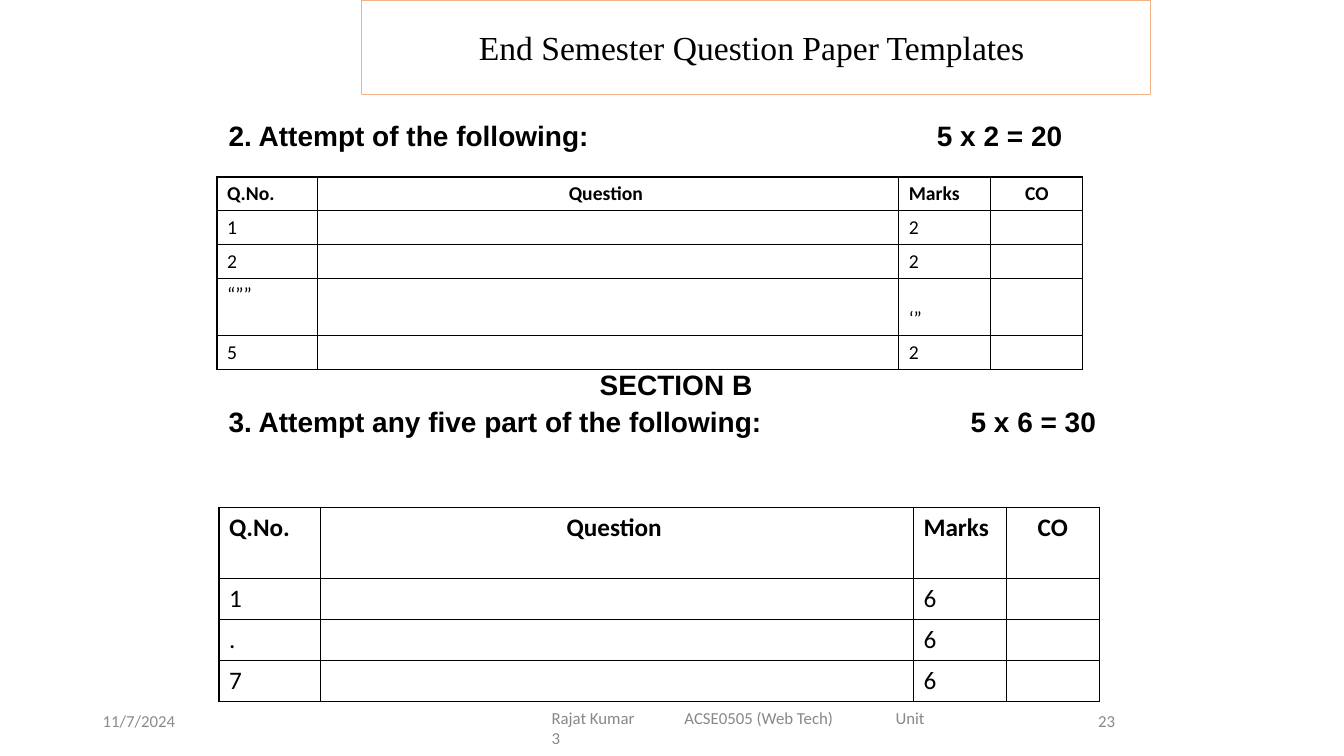
from lxml import etree
from pptx import Presentation
from pptx.dml.color import RGBColor
from pptx.enum.text import MSO_ANCHOR, PP_ALIGN
from pptx.oxml.ns import qn
from pptx.util import Cm, Pt

LEFT, CENTER, RIGHT = PP_ALIGN.LEFT, PP_ALIGN.CENTER, PP_ALIGN.RIGHT
MIDDLE, BOTTOM = MSO_ANCHOR.MIDDLE, MSO_ANCHOR.BOTTOM
COLORS = {"text": "000000", "frame": "F4B183", "cell": "FFFFFF",
          "footer": "888888", "date": "8C8C8C"}


def write(p, text, size, font, color="text", bold=False, align=LEFT, tabs=()):
    """Fill a paragraph and format its run; tabs are left stops in cm."""
    p.text = text
    p.alignment = align
    if tabs:
        tab_list = etree.SubElement(p._p.get_or_add_pPr(), qn("a:tabLst"))
        for stop in tabs:
            etree.SubElement(tab_list, qn("a:tab"), pos=str(Cm(stop)), algn="l")
    for r in p.runs:
        r.font.size = Pt(size)
        r.font.name = font
        r.font.bold = bold
        r.font.color.rgb = RGBColor.from_string(COLORS[color])


def add_border(cell):
    tc_pr = cell._tc.get_or_add_tcPr()
    for side in ("lnL", "lnR", "lnT", "lnB"):
        ln = etree.SubElement(tc_pr, qn("a:" + side), w=str(Pt(1)))
        fill = etree.SubElement(ln, qn("a:solidFill"))
        etree.SubElement(fill, qn("a:srgbClr"), val=COLORS["text"])


prs = Presentation()
prs.slide_width, prs.slide_height = Cm(33.87), Cm(19.05)
s = prs.slides.add_slide(prs.slide_layouts[5])

# Title
title = s.shapes.title
title.left, title.top, title.width, title.height = Cm(9.1), Cm(0), Cm(19.9), Cm(2.37)
title.line.color.rgb = RGBColor.from_string(COLORS["frame"])
title.line.width = Pt(0.5)
title.text_frame.vertical_anchor = MIDDLE
write(title.text_frame.paragraphs[0], "End Semester Question Paper Templates ",
      24, "Times New Roman", align=CENTER)

# Section headings, with room for the first table between them
tf = s.shapes.add_textbox(Cm(5.51), Cm(2.97), Cm(22.86), Cm(13.2)).text_frame
tf.word_wrap = True
headings = [
    ("2. Attempt of the following:\t5 x 2 = 20", LEFT, 0, [17.85]),
    (" SECTION B", CENTER, 156, []),
    ("3. Attempt any five part of the following:\t5 x 6 = 30", LEFT, 4.5, [18.7]),
]
for i, (text, align, space, tabs) in enumerate(headings):
    p = tf.add_paragraph() if i else tf.paragraphs[0]
    p.line_spacing = 0.9
    p.space_before = Pt(space)
    write(p, text, 20, "Arial", bold=True, align=align, tabs=tabs)

# Question tables: left, top, text size, column widths, row heights, (number, marks)
question_tables = [
    (5.47, 4.46, 14, [2.53, 14.65, 2.32, 2.32], [0.85, 0.85, 0.85, 1.45, 0.85],
     [("1", "2"), ("2", "2"), ("“””", "‘”"), ("5", "2")]),
    (5.52, 12.78, 18, [2.56, 14.94, 2.34, 2.34], [1.8, 1.03, 1.03, 1.03],
     [("1", "6"), (".", "6"), ("7", "6")]),
]
for left, top, size, widths, heights, questions in question_tables:
    rows = [("Q.No.", "Question ", "Marks", "CO")]
    rows += [(number, "", marks, "") for number, marks in questions]
    table = s.shapes.add_table(len(rows), len(widths), Cm(left), Cm(top),
                               Cm(sum(widths)), Cm(sum(heights))).table
    for column, width in zip(table.columns, widths):
        column.width = Cm(width)
    for i, (row, height) in enumerate(zip(rows, heights)):
        table.rows[i].height = Cm(height)
        for j, text in enumerate(row):
            cell = table.cell(i, j)
            add_border(cell)
            cell.fill.solid()
            cell.fill.fore_color.rgb = RGBColor.from_string(COLORS["cell"])
            p = cell.text_frame.paragraphs[0]
            if text:
                write(p, text, size, "Calibri", bold=i == 0,
                      align=CENTER if j in (1, 3) else LEFT)
            else:
                etree.SubElement(p._p, qn("a:endParaRPr"), sz=str(size * 100))
            if text == "‘”":
                cell.vertical_anchor = BOTTOM

# Footer: text, left, top, width, height, left inset, alignment, colour, tabs
footers = [
    ("Rajat Kumar\tACSE0505 (Web Tech)\tUnit 3", 9.47, 17.86, 14.22, 0.94, 4.43,
     LEFT, "footer", [3.35, 8.67]),
    ("23", 22.43, 17.65, 5.92, 1.02, 0.25, RIGHT, "footer", []),
    ("11/7/2024", 2.34, 17.65, 7.62, 1.02, 0.25, LEFT, "date", []),
]
for text, left, top, width, height, inset, align, color, tabs in footers:
    tf = s.shapes.add_textbox(Cm(left), Cm(top), Cm(width), Cm(height)).text_frame
    tf.word_wrap = True
    tf.vertical_anchor = MIDDLE
    tf.margin_left = Cm(inset)
    write(tf.paragraphs[0], text, 12, "Calibri", color, align=align, tabs=tabs)

prs.save("out.pptx")
